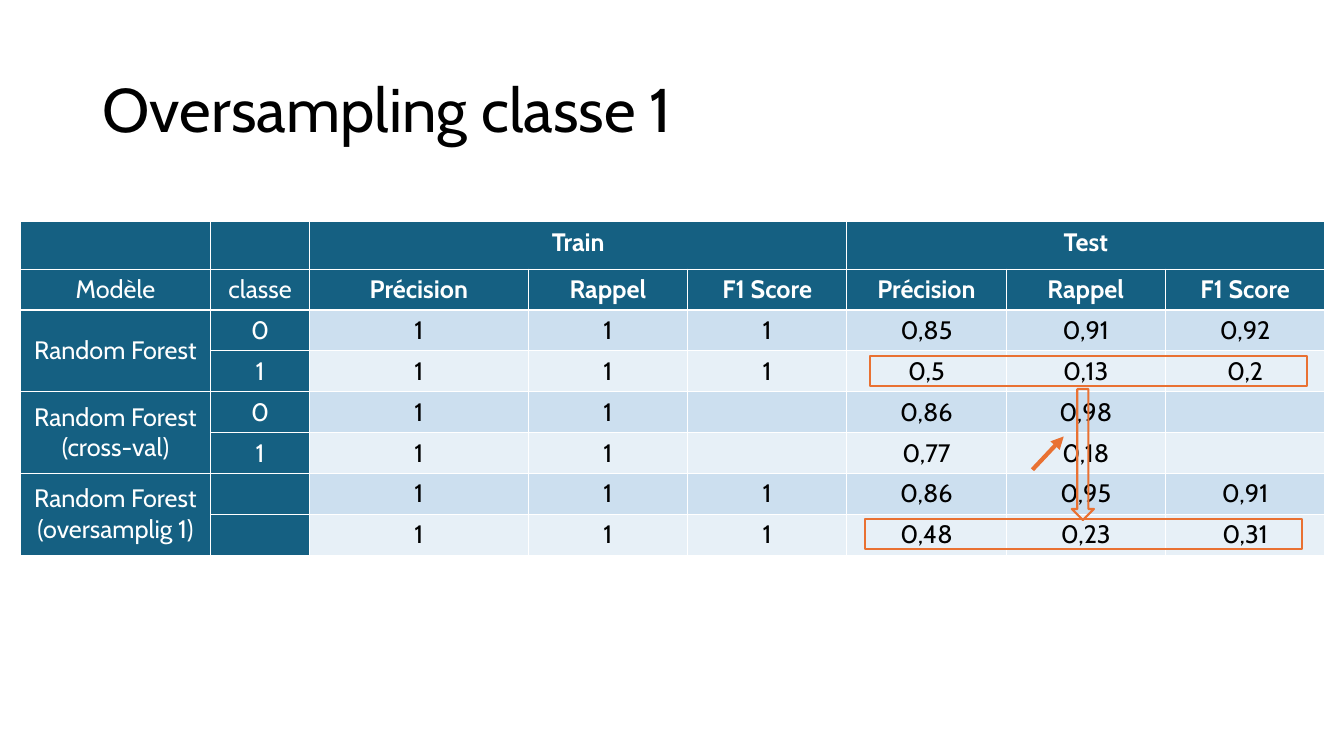
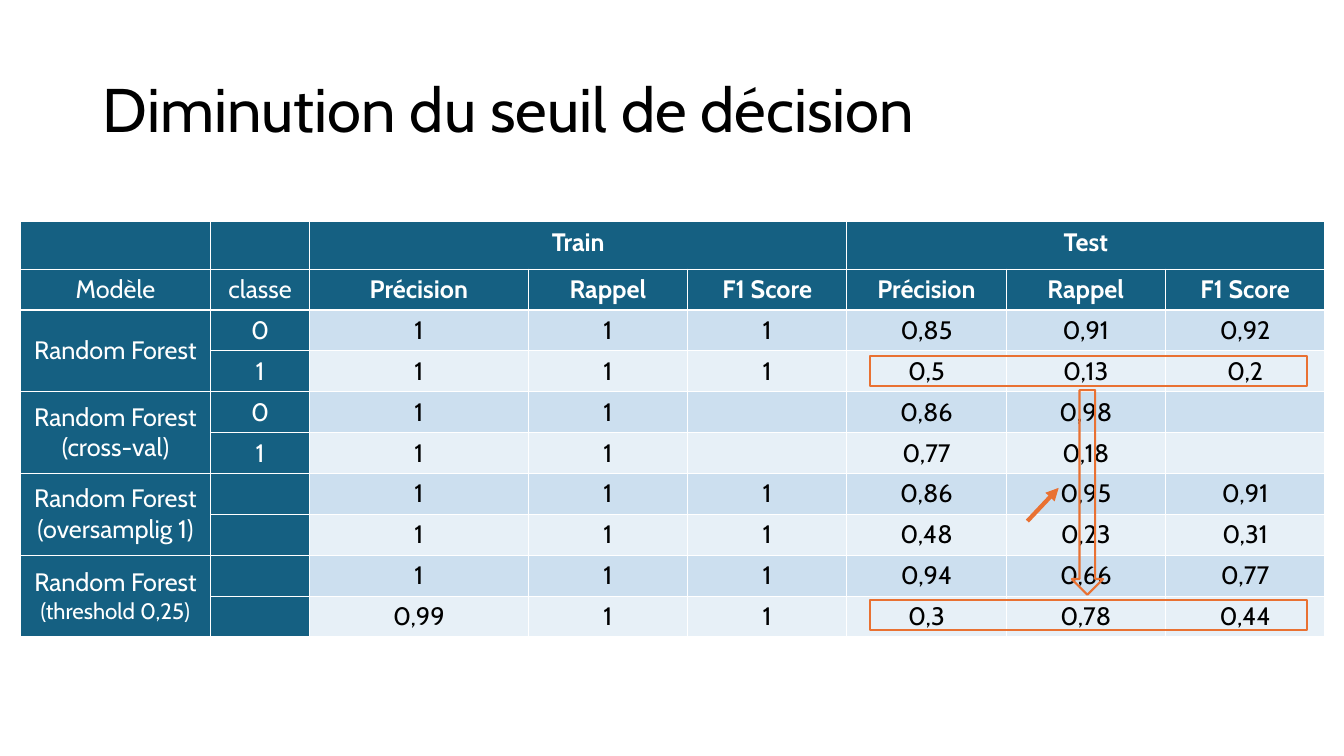
from dataclasses import dataclass

from lxml.etree import SubElement
from pptx import Presentation
from pptx.dml.color import RGBColor
from pptx.enum.shapes import MSO_CONNECTOR, MSO_SHAPE
from pptx.enum.text import MSO_ANCHOR, PP_ALIGN
from pptx.oxml import parse_xml
from pptx.oxml.ns import nsdecls, qn
from pptx.util import Inches, Pt

FONT = "Cabin"
BLACK = RGBColor(0x00, 0x00, 0x00)
WHITE = RGBColor(0xFF, 0xFF, 0xFF)
TEAL = RGBColor(0x15, 0x60, 0x82)
ORANGE = RGBColor(0xE9, 0x71, 0x32)
BANDS = RGBColor(0xCC, 0xDF, 0xEF), RGBColor(0xE7, 0xF0, 0xF7)

COL_WIDTHS = [1.89, 0.98, 2.17] + [1.58] * 5
TOP_ROW_H = 0.47
ROW_H = 3.65 / 9
METRICS = ["Précision", "Rappel", "F1 Score"]


@dataclass
class Model:
    label: str
    classes: list
    scores: list
    small_label: str = ""


MODELS = [
    Model("Random Forest", ["0", "1"],
          [["1", "1", "1", "0,85", "0,91", "0,92"],
           ["1", "1", "1", "0,5", "0,13", "0,2"]]),
    Model("Random Forest\n(cross-val)", ["0", "1"],
          [["1", "1", "", "0,86", "0,98", ""],
           ["1", "1", "", "0,77", "0,18", ""]]),
    Model("Random Forest\n(oversamplig 1)", ["", ""],
          [["1", "1", "1", "0,86", "0,95", "0,91"],
           ["1", "1", "1", "0,48", "0,23", "0,31"]]),
]
THRESHOLD_MODEL = Model("Random Forest ", ["", ""],
                        [["1", "1", "1", "0,94", "0,66", "0,77"],
                         ["0,99", "1", "1", "0,3", "0,78", "0,44"]],
                        small_label="(threshold 0,25)")


def style_paragraph(p, size, color, bold=False):
    p.font.name = FONT
    p.font.size = Pt(size)
    p.font.color.rgb = color
    p.font.bold = bold


def add_title(s, text):
    tf = s.shapes.add_textbox(Inches(0.92), Inches(0.39), Inches(11.5), Inches(1.45)).text_frame
    tf.word_wrap = True
    tf.vertical_anchor = MSO_ANCHOR.MIDDLE
    p = tf.paragraphs[0]
    p.text = text
    p.line_spacing = 0.9
    style_paragraph(p, 44, BLACK)


def set_borders(cell):
    tc_pr = cell._tc.get_or_add_tcPr()
    for i, side in enumerate(("lnL", "lnR", "lnT", "lnB")):
        tc_pr.insert(i, parse_xml(
            f'<a:{side} {nsdecls("a")} w="{Pt(1)}"><a:solidFill>'
            f'<a:srgbClr val="{WHITE}"/></a:solidFill></a:{side}>'))


def fill_cell(cell, text, fill, color=WHITE, bold=False):
    cell.text = text
    cell.fill.solid()
    cell.fill.fore_color.rgb = fill
    set_borders(cell)
    for p in cell.text_frame.paragraphs:
        p.alignment = PP_ALIGN.CENTER
        style_paragraph(p, 18, color, bold)


def add_model_rows(table, top, model):
    for i, (label, scores) in enumerate(zip(model.classes, model.scores)):
        row = top + i
        fill_cell(table.cell(row, 0), "" if i else model.label, TEAL)
        fill_cell(table.cell(row, 1), label, TEAL)
        for col, score in enumerate(scores, 2):
            fill_cell(table.cell(row, col), score, BANDS[i], BLACK)
    cell = table.cell(top, 0)
    cell.merge(table.cell(top + 1, 0))
    cell.vertical_anchor = MSO_ANCHOR.MIDDLE
    if model.small_label:
        r = cell.text_frame.paragraphs[-1].add_run()
        r.text = model.small_label
        r.font.size = Pt(16)


def add_score_table(s, models):
    heights = [TOP_ROW_H] + [ROW_H] * (1 + 2 * len(models))
    table = s.shapes.add_table(len(heights), len(COL_WIDTHS), Inches(0.2), Inches(2.2),
                               Inches(sum(COL_WIDTHS)), Inches(sum(heights))).table
    table.first_row = table.horz_banding = False
    for column, width in zip(table.columns, COL_WIDTHS):
        column.width = Inches(width)
    for row, height in zip(table.rows, heights):
        row.height = Inches(height)

    headers = [["", "", "Train", "", "", "Test", "", ""],
               ["Modèle", "classe"] + METRICS * 2]
    for row, texts in enumerate(headers):
        for col, text in enumerate(texts):
            fill_cell(table.cell(row, col), text, TEAL, bold=col > 1)
    for col in (2, 5):
        table.cell(0, col).merge(table.cell(0, col + 2))
    for i, model in enumerate(models):
        add_model_rows(table, 2 + 2 * i, model)


def add_outline(s, kind, left, top, width, height):
    sp = s.shapes.add_shape(kind, Inches(left), Inches(top), Inches(width), Inches(height))
    sp.shadow.inherit = False
    sp.fill.background()
    sp.line.color.rgb = ORANGE
    sp.line.width = Pt(1.5)


def add_highlight(s, left, top):
    add_outline(s, MSO_SHAPE.RECTANGLE, left, top, 4.33, 0.3)


def add_rising_arrow(s, left, bottom):
    line = s.shapes.add_connector(MSO_CONNECTOR.STRAIGHT, Inches(left), Inches(bottom),
                                  Inches(left + 0.31), Inches(bottom - 0.33))
    line.line.color.rgb = ORANGE
    line.line.width = Pt(3)
    SubElement(line.line._get_or_add_ln(), qn("a:tailEnd"), type="triangle")
    SubElement(line._element.spPr, qn("a:effectLst"))


def add_results_slide(prs, title, models, highlight, down_arrow, rising_arrow):
    s = prs.slides.add_slide(prs.slide_layouts[6])
    add_title(s, title)
    add_score_table(s, models)
    add_highlight(s, 8.63, 3.53)
    add_highlight(s, *highlight)
    add_outline(s, MSO_SHAPE.DOWN_ARROW, *down_arrow)
    add_rising_arrow(s, *rising_arrow)


def main():
    prs = Presentation()
    prs.slide_width = Inches(13.33)
    prs.slide_height = Inches(7.5)
    add_results_slide(prs, "Oversampling classe 1", MODELS,
                      highlight=(8.58, 5.15),
                      down_arrow=(10.63, 3.86, 0.22, 1.3),
                      rising_arrow=(10.24, 4.66))
    add_results_slide(prs, "Diminution du seuil de décision", MODELS + [THRESHOLD_MODEL],
                      highlight=(8.63, 5.95),
                      down_arrow=(10.63, 3.87, 0.31, 2.03),
                      rising_arrow=(10.19, 5.17))
    prs.save("out.pptx")


if __name__ == "__main__":
    main()
